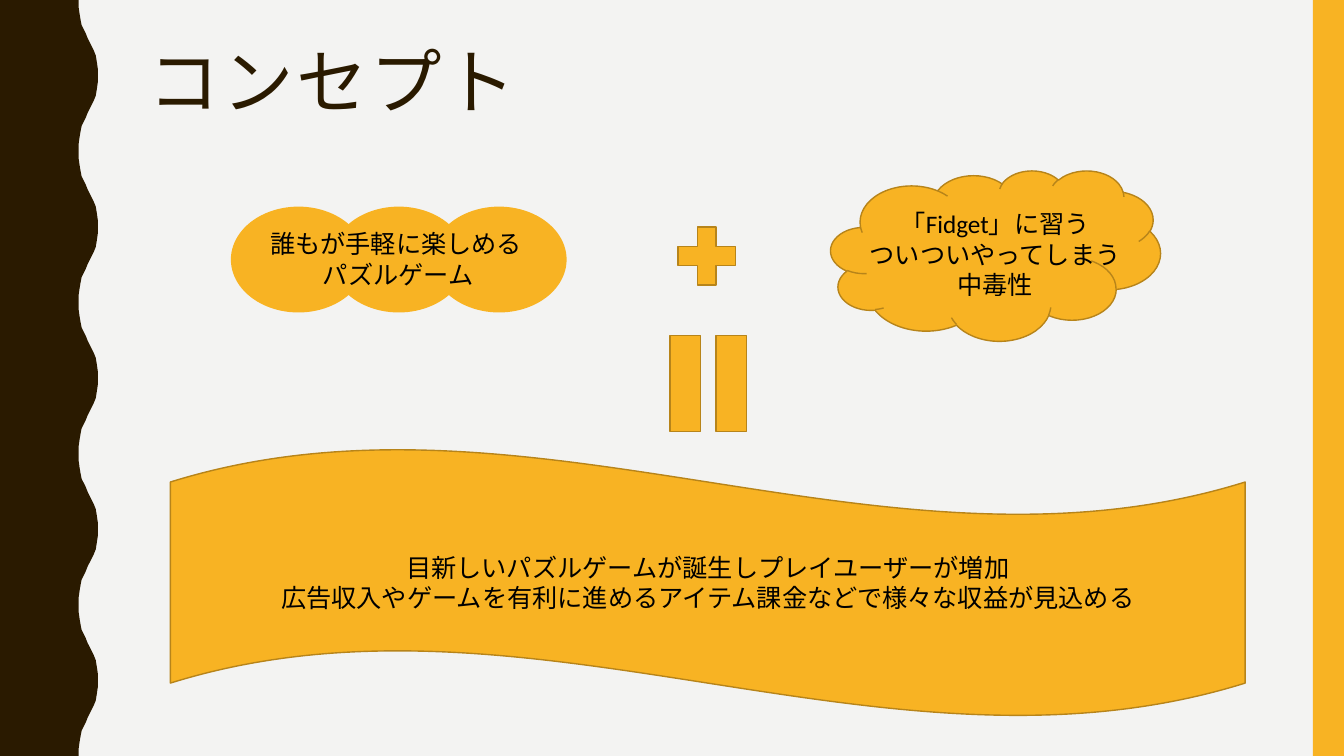
"""Build the concept slide: an easy puzzle plus addictiveness equals new revenue."""
from pptx import Presentation
from pptx.dml.color import RGBColor
from pptx.enum.lang import MSO_LANGUAGE_ID as LANG
from pptx.enum.shapes import MSO_SHAPE as SHAPE
from pptx.enum.text import MSO_ANCHOR as ANCHOR, MSO_AUTO_SIZE as AUTO, PP_ALIGN as ALIGN
from pptx.util import Inches, Pt

COLORS = {"paper": "F3F3F2", "brown": "2A1A00", "amber": "F8B323",
          "outline": "B7841A", "ink": "000000"}


def paint(shape, fill, line=None):
    shape.shadow.inherit = False
    shape.fill.solid()
    shape.fill.fore_color.rgb = RGBColor.from_string(COLORS[fill])
    if line:
        shape.line.color.rgb = RGBColor.from_string(COLORS[line])
        shape.line.width = Pt(1)
    else:
        shape.line.fill.background()
    return shape


def write(frame, lines, aligns, size=18, font="Calibri", color="ink"):
    frame.word_wrap = True
    for index, (line, align) in enumerate(zip(lines, aligns)):
        paragraph = frame.paragraphs[0] if index == 0 else frame.add_paragraph()
        paragraph.alignment = align
        run = paragraph.add_run()
        run.text = line
        style = {"size": Pt(size), "name": font, "language_id": LANG.JAPANESE}
        for key, value in style.items():
            setattr(run.font, key, value)
        run.font.color.rgb = RGBColor.from_string(COLORS[color])


deck = Presentation()
deck.slide_width, deck.slide_height = Inches(13.33), Inches(7.5)
slide = deck.slides.add_slide(deck.slide_layouts[6])
slide.background.fill.solid()
slide.background.fill.fore_color.rgb = RGBColor.from_string(COLORS["paper"])
shapes = slide.shapes

half_ripple = [(0.78, 0), (0.78, 0.07), (0.79, 0.14), (0.8, 0.2), (0.81, 0.25),
               (0.83, 0.29), (0.85, 0.33), (0.87, 0.38), (0.89, 0.42), (0.91, 0.46),
               (0.93, 0.5), (0.95, 0.55), (0.96, 0.61), (0.97, 0.68), (0.97, 0.75)]
ripple = half_ripple + [(x, 1.5 - y) for x, y in half_ripple[-2::-1]]
edge = [(x, y + 1.5 * n) for n in range(5) for x, y in ripple]
builder = shapes.build_freeform(0, 0, scale=1.0)
builder.add_line_segments([(Inches(x), Inches(y)) for x, y in edge + [(0, 7.5)]], close=True)
paint(builder.convert_to_shape(), "brown")

paint(shapes.add_shape(SHAPE.RECTANGLE, Inches(13.02), 0, Inches(0.31), Inches(7.5)), "amber")

title = shapes.add_textbox(Inches(1.37), Inches(0.42), Inches(11.13), Inches(1.63)).text_frame
write(title, ["コンセプト"], [ALIGN.LEFT], 51, "Roboto Condensed", "brown")
title.paragraphs[0].line_spacing = 0.9
title.paragraphs[0].runs[0]._r.get_or_add_rPr().set("spc", "200")

puzzle = shapes.add_group_shape().shapes
for n in range(3):
    paint(puzzle.add_shape(SHAPE.OVAL, Inches(2.29 + 0.995 * n), Inches(2.05),
                           Inches(1.34), Inches(1.05)), "amber")
puzzle_text = puzzle.add_textbox(Inches(2.58), Inches(2.22), Inches(2.74), Inches(0.71)).text_frame
puzzle_text.auto_size = AUTO.SHAPE_TO_FIT_TEXT
write(puzzle_text, ["誰もが手軽に楽しめる", "パズルゲーム"], [ALIGN.LEFT, ALIGN.CENTER])

paint(shapes.add_shape(SHAPE.MATH_PLUS, Inches(6.62), Inches(2.15),
                       Inches(0.78), Inches(0.78)), "amber", "outline")

addiction = shapes.add_group_shape().shapes
paint(addiction.add_shape(SHAPE.CLOUD, Inches(8.24), Inches(1.69),
                          Inches(3.27), Inches(1.69)), "amber", "outline")
addiction_text = addiction.add_textbox(Inches(8.5), Inches(2.02),
                                       Inches(2.74), Inches(1.01)).text_frame
addiction_text.auto_size = AUTO.SHAPE_TO_FIT_TEXT
write(addiction_text, ["「Fidget」に習う", "ついついやってしまう", "中毒性"], [ALIGN.CENTER] * 3)

equals = paint(shapes.add_shape(SHAPE.MATH_EQUAL, Inches(6.38), Inches(3.16),
                                Inches(1.29), Inches(1.29)), "amber", "outline")
equals.rotation = 90

outcome = paint(shapes.add_shape(SHAPE.WAVE, Inches(1.69), Inches(4.45),
                                 Inches(10.66), Inches(2.66)), "amber", "outline")
outcome.text_frame.vertical_anchor = ANCHOR.MIDDLE
write(outcome.text_frame,
      ["目新しいパズルゲームが誕生しプレイユーザーが増加",
       "広告収入やゲームを有利に進めるアイテム課金などで様々な収益が見込める"],
      [ALIGN.CENTER] * 2)

deck.save("out.pptx")
